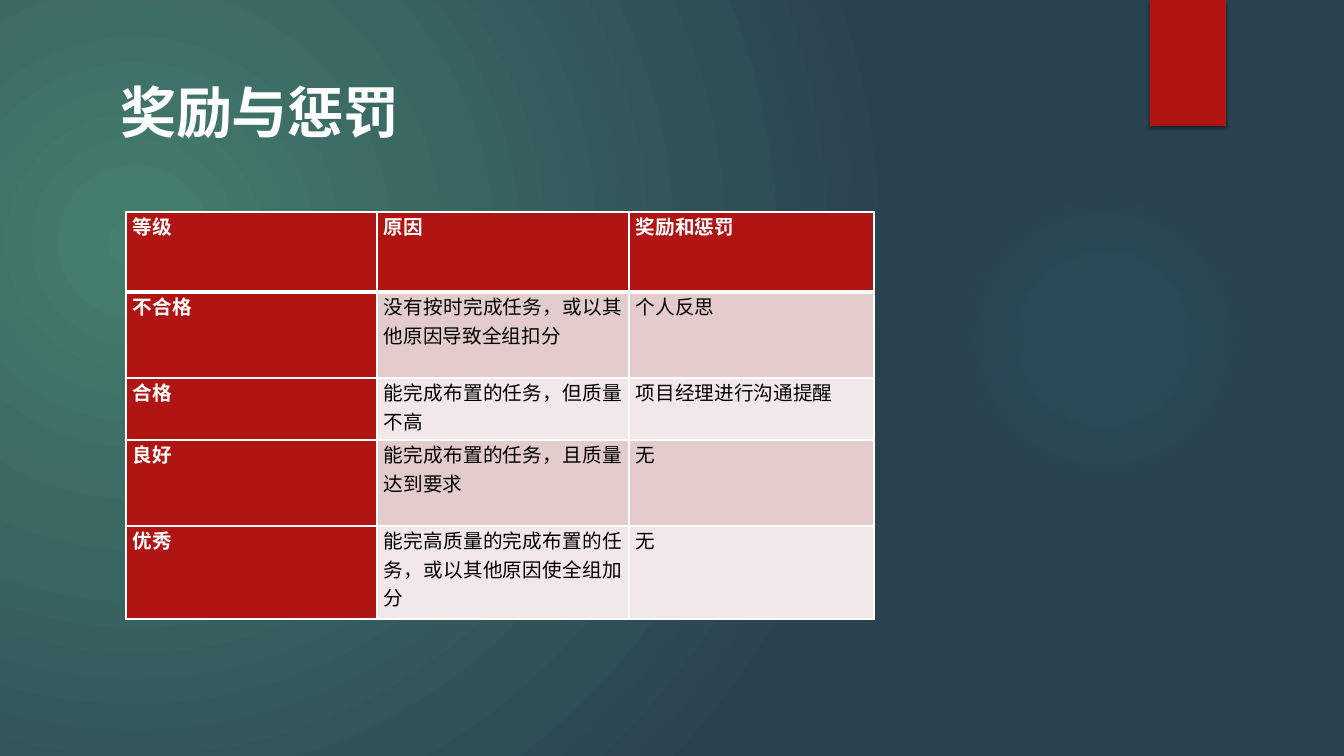
from pptx import Presentation
from pptx.dml.color import RGBColor
from pptx.enum.shapes import MSO_SHAPE as SHAPE
from pptx.enum.text import MSO_ANCHOR as ANCHOR, MSO_AUTO_SIZE as AUTO_SIZE, PP_ALIGN as ALIGN
from pptx.oxml import parse_xml
from pptx.oxml.ns import nsdecls, qn
from pptx.util import Pt

PX = 914400 / 100.8
RED, WHITE, BLACK = "B01513", "FFFFFF", "000000"
BAND_TINTS = ["E4CCCC", "F2E8E7"]


def write(frame, text, size, font, color, bold, align):
    paragraph = frame.paragraphs[0]
    paragraph.alignment = align
    run = paragraph.add_run()
    run.text = text
    run.font.size, run.font.name, run.font.bold = Pt(size), font, bold
    run.font.color.rgb = RGBColor.from_string(color)


def set_radial(parent, stops, focus):
    """Swap the default gradient for a circular one; stops are (position, color, opacity)."""
    stop_xml = "".join(
        f'<a:gs pos="{pos * 1000}"><a:srgbClr val="{color}"><a:alpha val="{opacity * 1000}"/></a:srgbClr></a:gs>'
        for pos, color, opacity in stops)
    left, top, right, bottom = [edge * 1000 for edge in focus]
    default = parent.find(".//" + qn("a:gradFill"))
    default.getparent().replace(default, parse_xml(
        f'<a:gradFill {nsdecls("a")} rotWithShape="1"><a:gsLst>{stop_xml}</a:gsLst><a:path path="circle">'
        f'<a:fillToRect l="{left}" t="{top}" r="{right}" b="{bottom}"/></a:path></a:gradFill>'))


deck = Presentation()
deck.slide_width, deck.slide_height = round(1344 * PX), round(756 * PX)
slide = deck.slides.add_slide(deck.slide_layouts[5])

slide.background.fill.gradient()
set_radial(slide.element, [(0, "457F6E", 100), (100, "294250", 100)], (45, 65, 125, 100))

# Decoration: soft glow and red ribbon
glow = slide.shapes.add_shape(SHAPE.OVAL, *[round(n * PX) for n in (949, 184, 310, 310)])
glow.fill.gradient()
set_radial(glow.element, [(0, "50B9C1", 7), (36, "50B9C1", 6), (69, "50B9C1", 0)], (50, 50, 50, 50))
ribbon = slide.shapes.add_shape(SHAPE.RECTANGLE, *[round(n * PX) for n in (1150, 0, 76, 126)])
ribbon.fill.solid()
ribbon.fill.fore_color.rgb = RGBColor.from_string(RED)
for decoration in (glow, ribbon):
    decoration.line.fill.background()
    decoration.shadow.inherit = False
ribbon.element.spPr.find(qn("a:effectLst")).append(parse_xml(
    f'<a:outerShdw {nsdecls("a")} blurRad="{Pt(3)}" dist="{Pt(2)}" dir="5400000" rotWithShape="0">'
    f'<a:srgbClr val="{BLACK}"><a:alpha val="45000"/></a:srgbClr></a:outerShdw>'))

# Title
title = slide.shapes.title
title.left, title.top, title.width, title.height = [round(n * PX) for n in (110, 72, 304, 78)]
title.text_frame.word_wrap = False
title.text_frame.auto_size = AUTO_SIZE.SHAPE_TO_FIT_TEXT
title.text_frame.vertical_anchor = ANCHOR.MIDDLE
write(title.text_frame, "奖励与惩罚", size=40, font="Arial", color=WHITE, bold=True, align=ALIGN.LEFT)

# Grades table
grades = [
    ("等级", "原因", "奖励和惩罚"),
    ("不合格", "没有按时完成任务，或以其他原因导致全组扣分", "个人反思"),
    ("合格", "能完成布置的任务，但质量不高", "项目经理进行沟通提醒"),
    ("良好", "能完成布置的任务，且质量达到要求", "无"),
    ("优秀", "能完高质量的完成布置的任务，或以其他原因使全组加分", "无"),
]
column_widths = [251, 252, 245]
row_heights = [80, 86, 62, 86, 93]
table = slide.shapes.add_table(
    len(grades), len(column_widths),
    *[round(n * PX) for n in (126, 212, sum(column_widths), sum(row_heights))]).table
table.horz_banding = False
for column, width in zip(table.columns, column_widths):
    column.width = round(width * PX)

for r, (grade, height) in enumerate(zip(grades, row_heights)):
    table.rows[r].height = round(height * PX)
    for c, text in enumerate(grade):
        cell = table.cell(r, c)
        heading = r == 0 or c == 0
        cell.margin_left = cell.margin_right = round(7 * PX)
        cell.margin_top = cell.margin_bottom = 0
        for side in "LRTB":
            under_header = (r, side) in [(0, "B"), (1, "T")]
            cell._tc.get_or_add_tcPr().append(parse_xml(
                f'<a:ln{side} {nsdecls("a")} w="{Pt(3 if under_header else 1)}">'
                f'<a:solidFill><a:srgbClr val="{WHITE}"/></a:solidFill></a:ln{side}>'))
        cell.fill.solid()
        cell.fill.fore_color.rgb = RGBColor.from_string(RED if heading else BAND_TINTS[(r - 1) % 2])
        write(cell.text_frame, text, size=14, font="League Spartan",
              color=WHITE if heading else BLACK, bold=heading, align=ALIGN.JUSTIFY)

deck.save("out.pptx")
